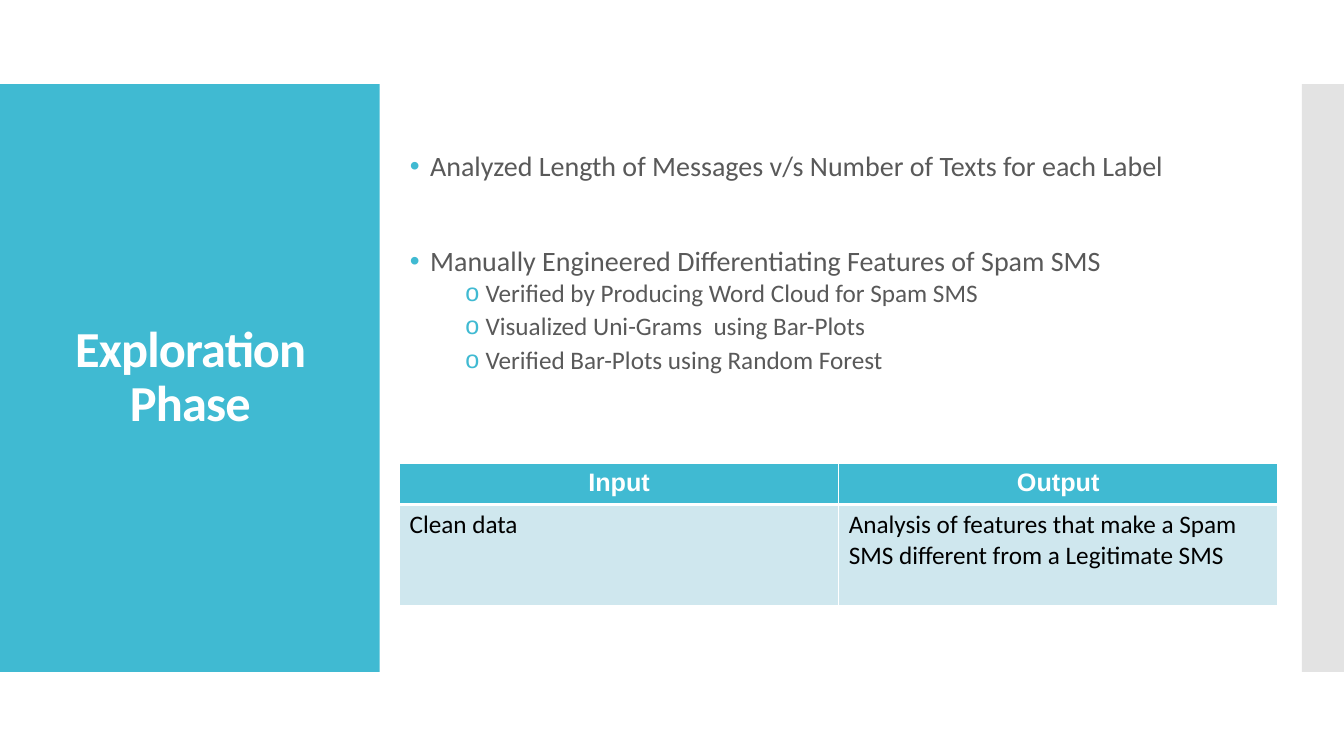
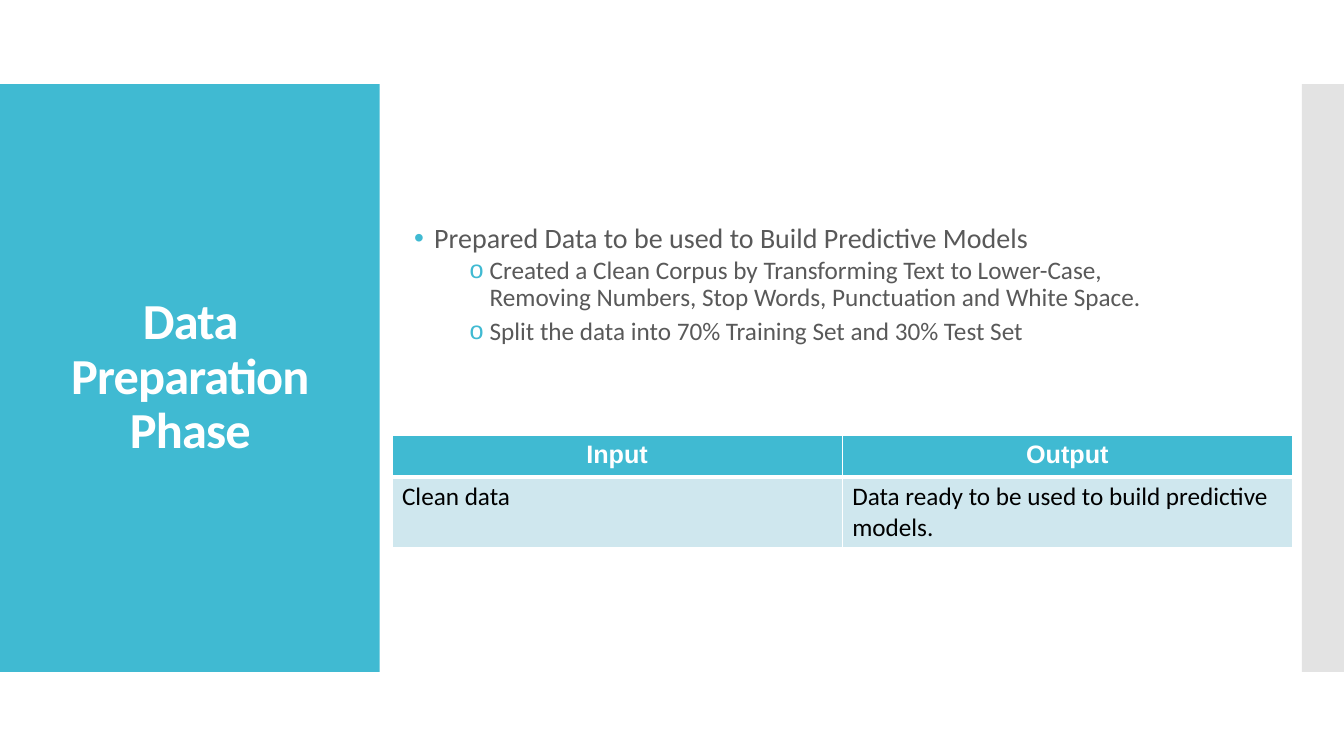
from dataclasses import dataclass

from lxml import etree
from pptx import Presentation
from pptx import util as u
from pptx.dml.color import RGBColor
from pptx.enum import shapes, text
from pptx.oxml.ns import qn

Pt = u.Pt

# Shared look
TEAL, GRAY, PALE = "40BAD2", "C8C8C8", "CFE7EE"
WHITE, BLACK, BODY = "FFFFFF", "000000", "595959"
BODY_FONT, HEADER_FONT = "Calibri", "Arial"
SLIDE_WIDTH, SLIDE_HEIGHT = 960, 540
BAND_TOP, BAND_HEIGHT = 60, 420
TITLE_BAND_WIDTH, EDGE_BAND_WIDTH = 271.2, 30
HEADER_HEIGHT = 29.5
HEADERS = ("Input", "Output")


@dataclass(frozen=True)
class BulletStyle:
    mark: str
    mark_font: str
    size: float
    indent: float
    before: float
    after: float


MAIN = BulletStyle("•", "Arial", 20, 14.4, 12, 0)
SUB = BulletStyle("o", "Arial", 18, 54, 2, 2.5)
HANGING = 14.4


@dataclass(frozen=True)
class Bullet:
    words: str
    style: BulletStyle = SUB
    extra_gap: float = 0


@dataclass(frozen=True)
class Phase:
    title_lines: tuple[str, ...]
    bullets: tuple[Bullet, ...]
    bullets_left: float
    bullets_top: float
    table_left: float
    table_top: float
    table_width: float
    row_height: float
    values: tuple[str, str]


PHASES = (
    Phase(
        ("Exploration Phase",),
        (
            Bullet("Analyzed Length of Messages v/s Number of Texts for each Label", MAIN),
            Bullet("Manually Engineered Differentiating Features of Spam SMS", MAIN, 34),
            Bullet("Verified by Producing Word Cloud for Spam SMS"),
            Bullet("Visualized Uni-Grams  using Bar-Plots"),
            Bullet("Verified Bar-Plots using Random Forest"),
        ),
        285.8, 105.5, 285.4, 330.8, 627.4, 72,
        ("Clean data", "Analysis of features that make a Spam SMS different from a Legitimate SMS"),
    ),
    Phase(
        ("Data Preparation", "Phase"),
        (
            Bullet("Prepared Data to be used to Build Predictive Models", MAIN),
            Bullet("Created a Clean Corpus by Transforming Text to Lower-Case, "
                   "Removing Numbers, Stop Words, Punctuation and White Space."),
            Bullet("Split the data into 70% Training Set and 30% Test Set"),
        ),
        288.7, 157, 280, 311, 643.2, 50.5,
        ("Clean data", "Data ready to be used to build predictive models."),
    ),
)


def color(value: str) -> RGBColor:
    return RGBColor.from_string(value)


def add_run(paragraph, words: str, size: float, fill: str,
            font: str = BODY_FONT, bold: bool = False):
    run = paragraph.add_run()
    run.text = words
    run.font.size = Pt(size)
    run.font.name = font
    run.font.bold = bold
    run.font.color.rgb = color(fill)
    return run


def add_band(slide, left: float, width: float, fill: str, opacity: int = 100) -> None:
    shape = slide.shapes.add_shape(
        shapes.MSO_SHAPE.RECTANGLE, Pt(left), Pt(BAND_TOP), Pt(width), Pt(BAND_HEIGHT))
    shape.shadow.inherit = False
    shape.fill.solid()
    shape.fill.fore_color.rgb = color(fill)
    shape.line.fill.background()
    if opacity < 100:
        tone = shape.fill._xPr.find(qn("a:solidFill"))[0]
        etree.SubElement(tone, qn("a:alpha")).set("val", str(opacity * 1000))


def add_text_frame(slide, left: float, top: float, width: float, height: float,
                   anchor: text.MSO_ANCHOR):
    frame = slide.shapes.add_textbox(Pt(left), Pt(top), Pt(width), Pt(height)).text_frame
    frame.word_wrap = True
    frame.vertical_anchor = anchor
    return frame


def add_title(slide, lines: tuple[str, ...]) -> None:
    frame = add_text_frame(slide, 20, 88.8, 231.8, 362.4, text.MSO_ANCHOR.MIDDLE)
    paragraph = frame.paragraphs[0]
    paragraph.alignment = text.PP_ALIGN.CENTER
    paragraph.line_spacing = 0.9
    for index, line in enumerate(lines):
        if index:
            paragraph.add_line_break()
        run = add_run(paragraph, line, 36, WHITE, bold=True)
        run.font._element.set("spc", "-60")


def set_bullet(paragraph, style: BulletStyle) -> None:
    properties = paragraph._p.get_or_add_pPr()
    properties.set("marL", str(Pt(style.indent)))
    properties.set("indent", str(-Pt(HANGING)))
    mark_color = etree.SubElement(properties, qn("a:buClr"))
    etree.SubElement(mark_color, qn("a:srgbClr")).set("val", TEAL)
    etree.SubElement(properties, qn("a:buFont")).set("typeface", style.mark_font)
    etree.SubElement(properties, qn("a:buChar")).set("char", style.mark)


def add_bullets(slide, phase: Phase) -> None:
    frame = add_text_frame(slide, phase.bullets_left, phase.bullets_top, 576, 180,
                           text.MSO_ANCHOR.TOP)
    for index, bullet in enumerate(phase.bullets):
        style = bullet.style
        paragraph = frame.add_paragraph() if index else frame.paragraphs[0]
        paragraph.line_spacing = 0.9
        paragraph.space_before = Pt(style.before + bullet.extra_gap if index else 0)
        paragraph.space_after = Pt(style.after)
        set_bullet(paragraph, style)
        add_run(paragraph, bullet.words, style.size, BODY)


def set_border(cell, side: str, width: float) -> None:
    line = etree.SubElement(cell._tc.get_or_add_tcPr(), qn(f"a:ln{side}"))
    line.set("w", str(Pt(width)))
    fill = etree.SubElement(line, qn("a:solidFill"))
    etree.SubElement(fill, qn("a:srgbClr")).set("val", WHITE)


def add_phase_table(slide, phase: Phase) -> None:
    heights = (HEADER_HEIGHT, phase.row_height)
    table = slide.shapes.add_table(
        2, 2, Pt(phase.table_left), Pt(phase.table_top),
        Pt(phase.table_width), Pt(sum(heights))).table
    table.horz_banding = False
    for row, height in zip(table.rows, heights):
        row.height = Pt(height)
    for row_index, row_words in enumerate((HEADERS, phase.values)):
        header = row_index == 0
        for column_index, words in enumerate(row_words):
            cell = table.cell(row_index, column_index)
            rule_side = "B" if header else "T"  # thick rule under the header
            for side in "LRTB":
                set_border(cell, side, 3 if side == rule_side else 1)
            cell.fill.solid()
            cell.fill.fore_color.rgb = color(TEAL if header else PALE)
            paragraph = cell.text_frame.paragraphs[0]
            if header:
                paragraph.alignment = text.PP_ALIGN.CENTER
                add_run(paragraph, words, 18, WHITE, HEADER_FONT, bold=True)
            else:
                add_run(paragraph, words, 18, BLACK)


def add_phase_slide(presentation, phase: Phase) -> None:
    slide = presentation.slides.add_slide(presentation.slide_layouts[6])
    add_band(slide, 0, TITLE_BAND_WIDTH, TEAL)
    add_band(slide, SLIDE_WIDTH - EDGE_BAND_WIDTH, EDGE_BAND_WIDTH, GRAY, opacity=50)
    add_title(slide, phase.title_lines)
    add_bullets(slide, phase)
    add_phase_table(slide, phase)


def main() -> None:
    presentation = Presentation()
    presentation.slide_width = Pt(SLIDE_WIDTH)
    presentation.slide_height = Pt(SLIDE_HEIGHT)
    for phase in PHASES:
        add_phase_slide(presentation, phase)
    presentation.save("out.pptx")


if __name__ == "__main__":
    main()
